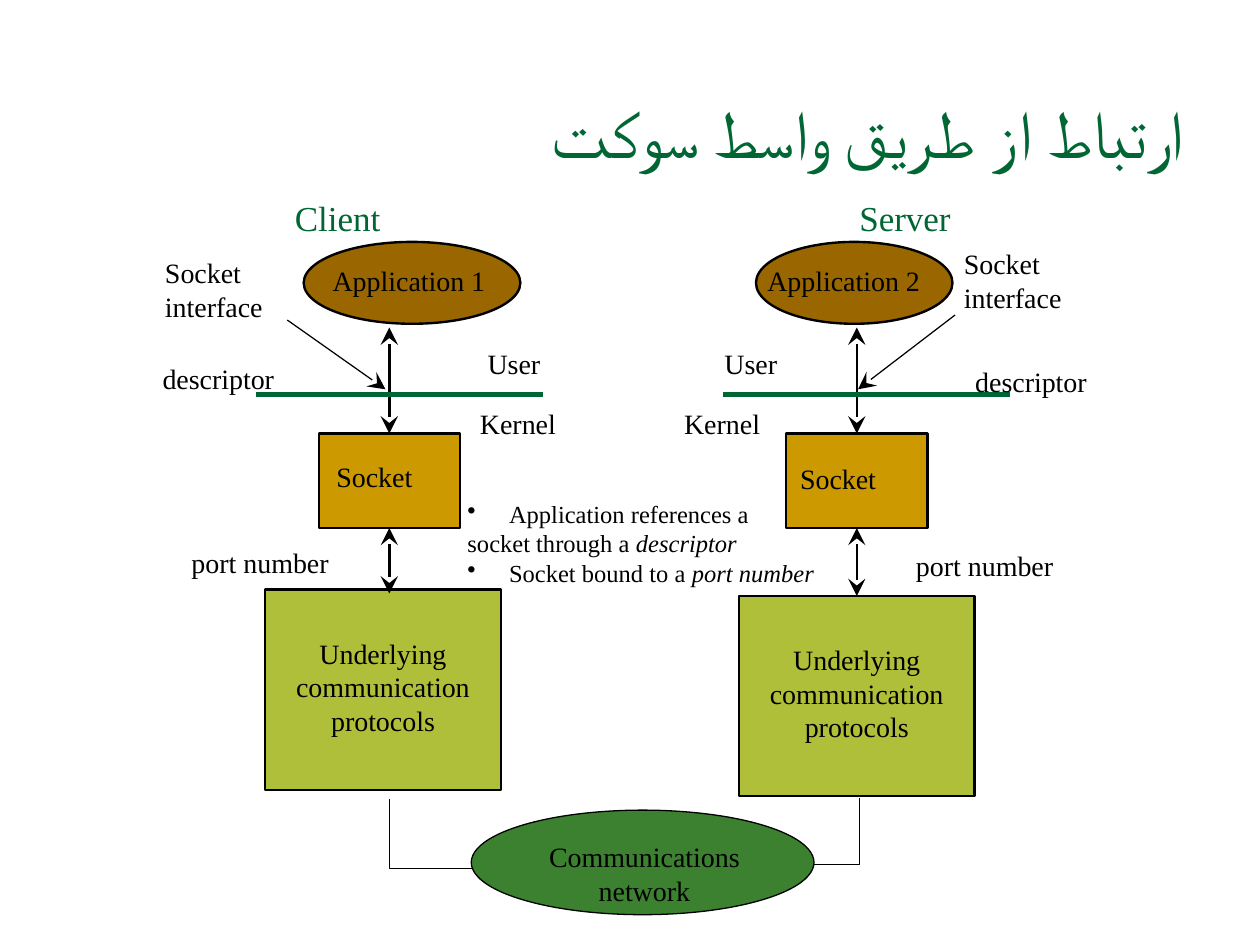
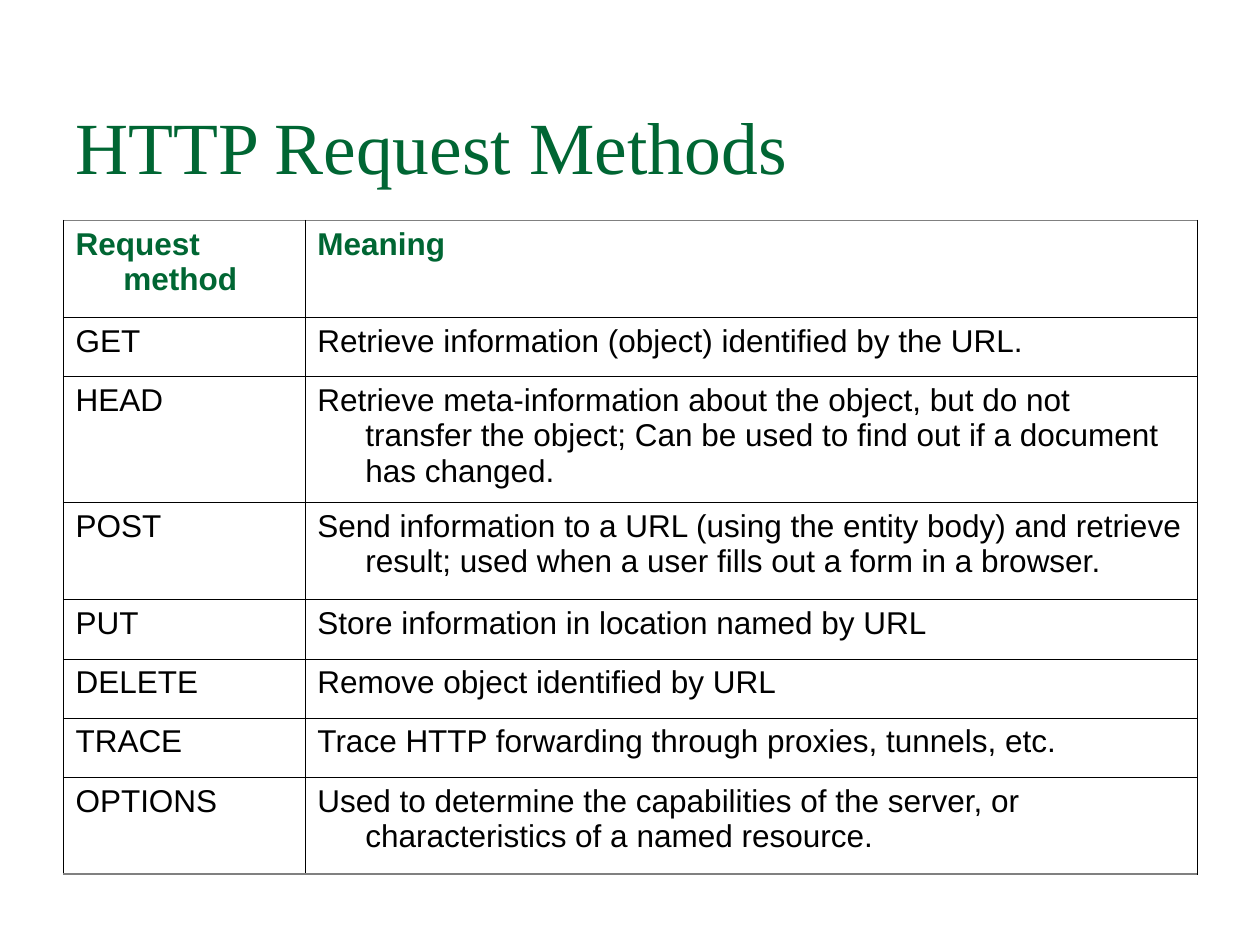
from dataclasses import dataclass

from lxml.etree import SubElement
from pptx import Presentation
from pptx.dml.color import RGBColor
from pptx.enum.shapes import MSO_CONNECTOR as Connector, MSO_SHAPE as Shape
from pptx.enum.text import MSO_ANCHOR as Anchor, PP_ALIGN as Align
from pptx.oxml.ns import qn
from pptx.util import Inches, Pt

SERIF, SANS = "Times New Roman", "Arial"
GREEN, BLACK, GREY = "006633", "000000", "808080"
BROWN, OCHRE, LIME, LEAF = "996600", "CC9900", "AFBF39", "3B812F"


def rgb(hex_code):
    return RGBColor.from_string(hex_code)


def add_run(paragraph, text, size=16, color=BLACK, font=SERIF, **style):
    run = paragraph.add_run()
    run.text = text
    run.font.size, run.font.name = Pt(size), font
    run.font.color.rgb = rgb(color)
    for name, value in style.items():
        setattr(run.font, name, value)
    return run


def add_frame(slide, left, top, width, height, inset=0, anchor=Anchor.TOP):
    frame = slide.shapes.add_textbox(
        Inches(left), Inches(top), Inches(width), Inches(height)).text_frame
    frame.word_wrap = True
    frame.vertical_anchor = anchor
    frame.margin_left = frame.margin_right = Inches(inset)
    frame.margin_top = frame.margin_bottom = Inches(inset / 2)
    return frame


def add_label(slide, text, left, top, width=1.3, size=16, color=BLACK):
    frame = add_frame(slide, left, top, width, 0.3)
    add_run(frame.paragraphs[0], text, size, color)


def add_title(slide, text, size, height, rtl=False):
    frame = add_frame(slide, 0.5, 0.3, 9, height, 0.1, Anchor.BOTTOM)
    paragraph = frame.paragraphs[0]
    run = add_run(paragraph, text, size, GREEN)
    if rtl:
        paragraph.alignment = Align.RIGHT
        properties = paragraph._p.get_or_add_pPr()
        properties.set("rtl", "1")
        SubElement(run._r.get_or_add_rPr(), qn("a:cs"), typeface=SERIF)


def add_block(slide, kind, left, top, width, height, fill, line=1.36):
    block = slide.shapes.add_shape(
        kind, Inches(left), Inches(top), Inches(width), Inches(height))
    block.shadow.inherit = False
    block.fill.solid()
    block.fill.fore_color.rgb = rgb(fill)
    block.line.color.rgb = rgb(BLACK)
    block.line.width = Pt(line)
    return block


def add_line(slide, start, end, width, color=BLACK, heads=()):
    line = slide.shapes.add_connector(
        Connector.STRAIGHT, *(Inches(v) for v in (*start, *end)))
    line.line.color.rgb = rgb(color)
    line.line.width = Pt(width)
    for head in heads:
        SubElement(line.line._get_or_add_ln(), qn(f"a:{head}"),
                   type="stealth", w="lg", len="lg")
    SubElement(line._element.spPr, qn("a:effectLst"))
    return line


# Socket communication slide

@dataclass
class Host:
    """One side of the exchange; x offsets are from its vertical axis."""
    name: str
    name_x: float
    app: str
    app_x: float
    app_width: float
    app_text_x: float
    interface: tuple
    pointer: tuple
    descriptor: tuple
    user_x: float
    kernel_x: float
    socket_text: tuple
    port: tuple
    protocols: tuple


CLIENT = Host("Client", -0.75, "Application 1", -0.68, 1.72, -0.45,
              interface=(-1.78, 0.53), pointer=((-0.81, 1.04), (-0.03, 1.59)),
              descriptor=(-1.8, 1.37), user_x=0.78, kernel_x=0.72,
              socket_text=(-0.42, 2.15), port=(-1.57, 2.83),
              protocols=(-0.05, 3.18))
SERVER = Host("Server", 0.02, "Application 2", -0.8, 1.56, -0.71,
              interface=(0.85, 0.46), pointer=((0.78, 1.0), (0.01, 1.59)),
              descriptor=(0.94, 1.39), user_x=-1.05, kernel_x=-1.37,
              socket_text=(-0.45, 2.16), port=(0.47, 2.85),
              protocols=(0, 3.23))
CLIENT_AXIS, SERVER_AXIS, HOST_TOP = 3.09, 6.8, 1.5


def add_host(slide, host, axis, top):
    def at(x, y):
        return axis + x, top + y

    # Application, socket and protocol blocks
    add_block(slide, Shape.OVAL, *at(host.app_x, 0.42),
              host.app_width, 0.65, BROWN)
    socket = add_block(slide, Shape.RECTANGLE, *at(-0.56, 1.94),
                       1.12, 0.75, OCHRE)
    centre, protocols_top = host.protocols
    protocols = add_block(slide, Shape.RECTANGLE,
                          *at(centre - 0.935, protocols_top), 1.87, 1.59, LIME)
    frame = protocols.text_frame
    frame.word_wrap = True
    frame.vertical_anchor = Anchor.MIDDLE
    frame.margin_bottom = Inches(0.1)
    frame.paragraphs[0].alignment = Align.CENTER
    add_run(frame.paragraphs[0], "Underlying communication protocols")

    # Arrows between the blocks, and the user/kernel boundary
    both = ("headEnd", "tailEnd")
    app_arrow = add_line(slide, at(0, 1.1), at(0, 1.94), 1.36, heads=both)
    app_arrow.end_connect(socket, 0)
    port_arrow = add_line(slide, at(0, 2.69), at(0, 3.21), 1.36, heads=both)
    port_arrow.begin_connect(socket, 2)
    if centre == 0:
        port_arrow.end_connect(protocols, 0)
    add_line(slide, at(-1.06, 1.63), at(1.22, 1.63), 2.69, GREEN)
    start, end = host.pointer
    add_line(slide, at(*start), at(*end), 0.71, heads=("tailEnd",))

    # Labels
    add_label(slide, host.name, *at(host.name_x, 0.06), size=20, color=GREEN)
    add_label(slide, host.app, *at(host.app_text_x, 0.59), width=1.5)
    add_label(slide, "Socket interface", *at(*host.interface), width=1)
    for text, place in (("descriptor", host.descriptor),
                        ("User", (host.user_x, 1.25)),
                        ("Kernel", (host.kernel_x, 1.73)),
                        ("Socket", host.socket_text),
                        ("port number", host.port)):
        add_label(slide, text, *at(*place))


def add_network(slide, left, top):
    # Links from the hosts run behind the network
    for axis, link_top, drop, inner in ((SERVER_AXIS + 0.02, 6.33, 6.86, 5.94),
                                        (CLIENT_AXIS, 6.34, 6.89, 4.17)):
        builder = slide.shapes.build_freeform(
            Inches(axis), Inches(link_top))
        builder.add_line_segments(
            [(Inches(axis), Inches(drop)), (Inches(inner), Inches(drop))],
            close=False)
        link = builder.convert_to_shape()
        link.shadow.inherit = False
        link.fill.background()
        link.line.color.rgb = rgb(BLACK)
        link.line.width = Pt(0.71)
    add_block(slide, Shape.OVAL, left, top, 2.72, 0.83, LEAF, 0.75)
    frame = add_frame(slide, left + 0.29, top + 0.18, 2.17, 0.64,
                      0.1, Anchor.MIDDLE)
    frame.paragraphs[0].alignment = Align.CENTER
    add_run(frame.paragraphs[0], "Communications network")


def add_notes_on_sockets(slide, left, top):
    points = ((True, "Application references a", ""),
              (False, "socket through a ", "descriptor"),
              (True, "Socket bound to a ", "port number"))
    frame = add_frame(slide, left, top, 2.92, 0.7)
    for index, (bulleted, text, term) in enumerate(points):
        paragraph = frame.add_paragraph() if index else frame.paragraphs[0]
        if bulleted:
            properties = paragraph._p.get_or_add_pPr()
            properties.set("marL", str(Inches(0.33)))
            properties.set("indent", str(-Inches(0.33)))
            SubElement(properties, qn("a:buChar"), char="•")
        add_run(paragraph, text, 14)
        if term:
            add_run(paragraph, term, 14, italic=True)


def build_socket_slide(slide):
    add_title(slide, "ارتباط از طریق واسط سوکت", 38, 1.11, rtl=True)
    add_network(slide, 3.74, 6.43)
    add_host(slide, CLIENT, CLIENT_AXIS, HOST_TOP)
    add_host(slide, SERVER, SERVER_AXIS, HOST_TOP)
    add_notes_on_sockets(slide, 3.71, 3.96)


# Request methods slide

METHODS = (
    ("Request method", "Meaning", 0.77),
    ("GET", "Retrieve information (object) identified by the URL.", 0.47),
    ("HEAD", "Retrieve meta-information about the object, but do not transfer "
     "the object; Can be used to find out if a document has changed.", 1),
    ("POST", "Send information to a URL (using the entity body) and retrieve "
     "result; used when a user fills out a form in a browser.", 0.77),
    ("PUT", "Store information in location named by URL", 0.47),
    ("DELETE", "Remove object identified by URL", 0.47),
    ("TRACE", "Trace HTTP forwarding through proxies, tunnels, etc.", 0.47),
    ("OPTIONS", "Used to determine the capabilities of the server, or "
     "characteristics of a named resource.", 0.77),
)


def set_borders(cell, outer_sides):
    properties = cell._tc.get_or_add_tcPr()
    for index, side in enumerate(("lnL", "lnR", "lnT", "lnB")):
        color, width = (GREY, 0.96) if side in outer_sides else (BLACK, 0.34)
        border = SubElement(properties, qn(f"a:{side}"), w=str(Pt(width)))
        fill = SubElement(border, qn("a:solidFill"))
        SubElement(fill, qn("a:srgbClr"), val=color)


def add_methods_table(slide, left, top, widths):
    table = slide.shapes.add_table(
        len(METHODS), len(widths), Inches(left), Inches(top),
        Inches(sum(widths)), Inches(sum(row[-1] for row in METHODS))).table
    table.first_row = table.horz_banding = False
    for column, width in zip(table.columns, widths):
        column.width = Inches(width)
    last = len(METHODS) - 1
    for index, (*texts, height) in enumerate(METHODS):
        table.rows[index].height = Inches(height)
        outer = {0: ("lnT",), last: ("lnB",)}.get(index, ())
        heading = index == 0
        for cell, text in zip(table.rows[index].cells, texts):
            set_borders(cell, outer)
            cell.fill.background()
            paragraph = cell.text_frame.paragraphs[0]
            properties = paragraph._p.get_or_add_pPr()
            properties.set("marL", str(Inches(0.38)))
            properties.set("indent", str(-Inches(0.38)))
            add_run(paragraph, text, 18, GREEN if heading else BLACK,
                    SANS, bold=heading)


def build_methods_slide(slide):
    add_title(slide, "HTTP Request Methods", 42, 1.25)
    add_methods_table(slide, 0.5, 1.75, (1.92, 7.08))


def main():
    deck = Presentation()
    deck.slide_width, deck.slide_height = Inches(10), Inches(7.5)
    for build in (build_socket_slide, build_methods_slide):
        build(deck.slides.add_slide(deck.slide_layouts[6]))
    deck.save("out.pptx")


if __name__ == "__main__":
    main()
